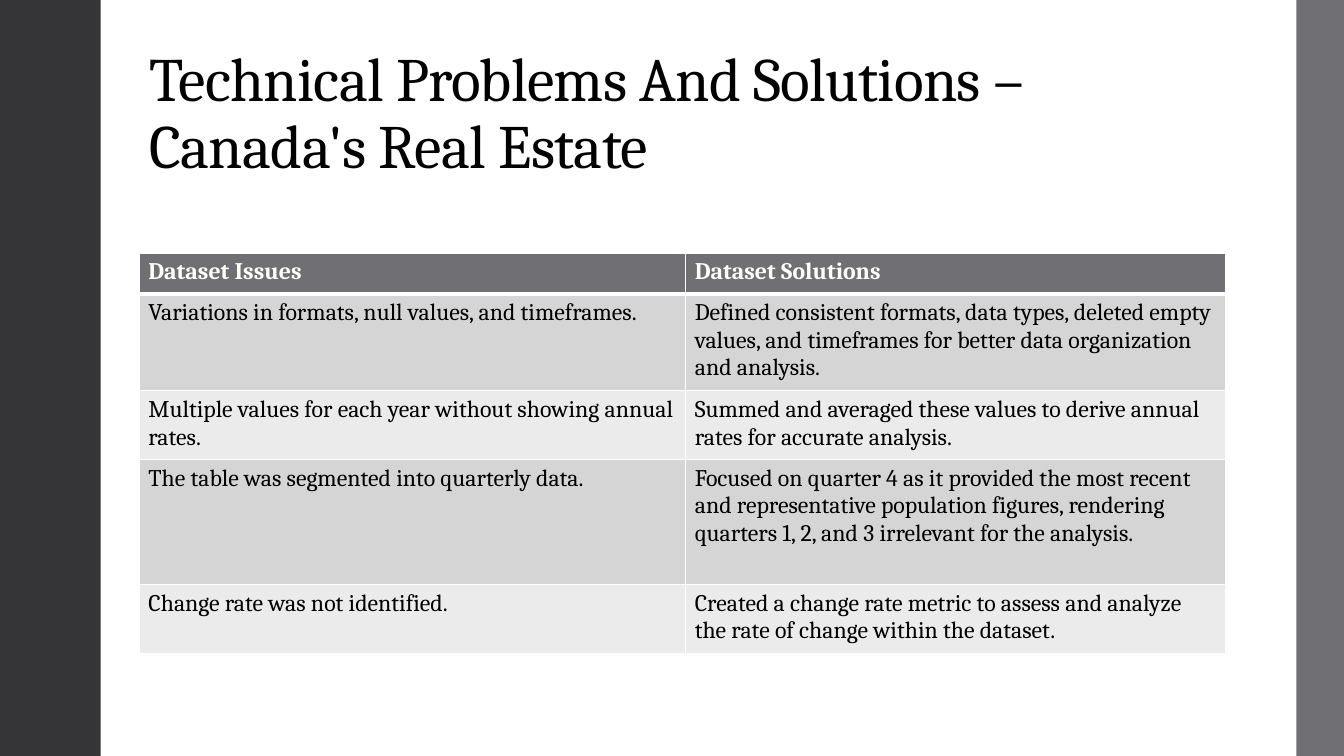
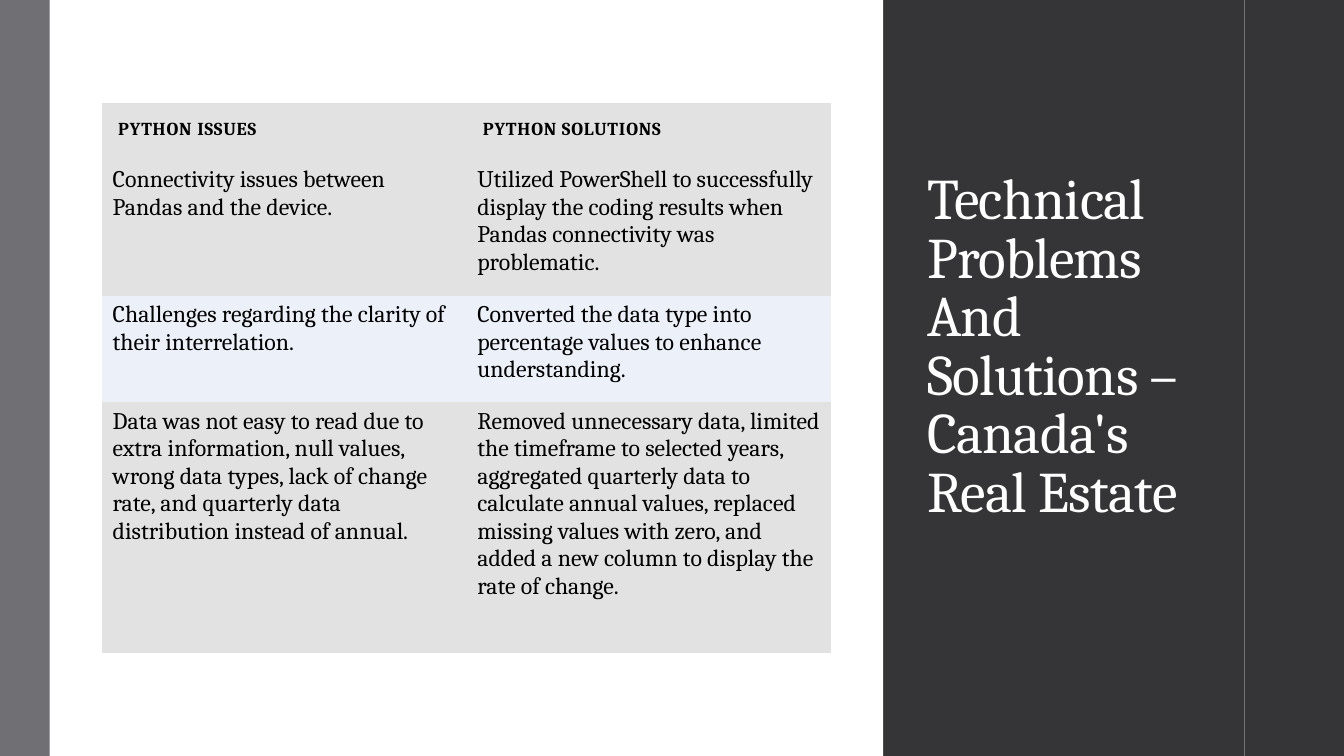
import pptx
import pptx.util
import pptx.dml.color
import pptx.enum.shapes
import pptx.enum.text
import pptx.oxml
import pptx.oxml.ns

Cm, Pt = pptx.util.Cm, pptx.util.Pt

# Shared style
COLORS = {
    "dark": "353537", "grey": "6F6F74", "white": "FFFFFF", "black": "000000",
    "band": "D5D5D6", "light": "EBEBEB", "panel": "E2E2E3", "blue": "ECF1F9",
}
FONT = "Cambria"
WIDTH, HEIGHT = 33.87, 19.05
PLAIN_TABLE_STYLE = "{2D5ABB26-0587-4C30-8999-92F81FD0307C}"
TITLE = "Technical Problems And Solutions – Canada's Real Estate"

# Content: bands are left, right, colour; boxes are left, top, width, height;
# margins are left, top, right, bottom; all lengths in cm
SLIDES = [
    {
        "bands": [(0, 2.54, "dark"), (32.67, WIDTH, "grey")],
        "title": {"box": (3.51, 1.02, 27.38, 3.68), "size": 44, "color": "black", "line": 0.9},
        "table": {
            "at": (3.51, 6.38),
            "columns": [13.77, 13.61],
            "heights": [1.03, 2.44, 1.73, 3.15, 1.74],
            "header": {"size": 17, "color": "white", "fill": "grey", "spacing": 0,
                       "margins": (0.23, 0.13, 0.23, 0.13)},
            "body_margins": (0.23, 0.13, 0.23, 0.13),
            "body_fills": ["band", "light"],
            "bordered": True,
            "rows": [
                ("Dataset Issues", "Dataset Solutions"),
                ("Variations in formats, null values, and timeframes.",
                 "Defined consistent formats, data types, deleted empty values, and "
                 "timeframes for better data organization and analysis."),
                ("Multiple values for each year without showing annual rates.",
                 "Summed and averaged these values to derive annual rates for accurate analysis."),
                ("The table was segmented into quarterly data.",
                 "Focused on quarter 4 as it provided the most recent and representative "
                 "population figures, rendering quarters 1, 2, and 3 irrelevant for the analysis."),
                ("Change rate was not identified.",
                 "Created a change rate metric to assess and analyze the rate of change "
                 "within the dataset."),
            ],
        },
    },
    {
        "bands": [(0, 1.27, "grey"), (1.27, 31.37, "dark"),
                  (1.25, 22.26, "white"), (31.37, WIDTH, "dark")],
        "title": {"box": (23.11, 2.1, 7.77, 11.23), "size": 41, "color": "white", "line": 0.85},
        "table": {
            "at": (2.57, 2.59),
            "columns": [9.19, 9.19],
            "heights": [1.47, 3.4, 2.68, 6.31],
            "header": {"size": 13, "color": "black", "fill": "panel", "spacing": 0.6,
                       "margins": (0.41, 0.41, 0.41, 0.41)},
            "body_margins": (0.27, 0.13, 0.27, 0.27),
            "body_fills": ["panel", "blue"],
            "bordered": False,
            "rows": [
                ("PYTHON ISSUES", "PYTHON SOLUTIONS"),
                ("Connectivity issues between Pandas and the device.",
                 "Utilized PowerShell to successfully display the coding results when "
                 "Pandas connectivity was problematic."),
                ("Challenges regarding the clarity of their interrelation.",
                 "Converted the data type into percentage values to enhance understanding."),
                ("Data was not easy to read due to extra information, null values, wrong data "
                 "types, lack of change rate, and quarterly data distribution instead of annual.",
                 "Removed unnecessary data, limited the timeframe to selected years, aggregated "
                 "quarterly data to calculate annual values, replaced missing values with zero, "
                 "and added a new column to display the rate of change."),
            ],
        },
    },
]


def rgb(name):
    return pptx.dml.color.RGBColor.from_string(COLORS[name])


def format_text(frame, size, color, bold=False, spacing=0):
    for para in frame.paragraphs:
        for span in para.runs:
            span.font.name = FONT
            span.font.size = Pt(size)
            span.font.bold = bold
            span.font.color.rgb = rgb(color)
            span.font._element.set("spc", str(round(spacing * 100)))


def add_title(page, style):
    title = page.shapes.title
    title.left, title.top, title.width, title.height = map(Cm, style["box"])
    frame = title.text_frame
    frame.text = TITLE
    frame.word_wrap = True
    frame.auto_size = pptx.enum.text.MSO_AUTO_SIZE.NONE
    frame.vertical_anchor = pptx.enum.text.MSO_ANCHOR.BOTTOM
    para = frame.paragraphs[0]
    para.alignment = pptx.enum.text.PP_ALIGN.LEFT
    para.line_spacing = style["line"]
    para.space_before = Pt(0)
    format_text(frame, style["size"], style["color"], spacing=-0.5)


def add_band(page, left, right, color):
    band = page.shapes.add_shape(
        pptx.enum.shapes.MSO_SHAPE.RECTANGLE, Cm(left), Cm(0), Cm(right - left), Cm(HEIGHT))
    band.shadow.inherit = False
    band.fill.solid()
    band.fill.fore_color.rgb = rgb(color)
    band.line.fill.background()
    # Bands lie behind the title
    page.shapes.title.element.addprevious(band.element)


def add_borders(cell, top, bottom):
    properties = cell._tc.get_or_add_tcPr()
    for index, (side, points) in enumerate([("L", 1), ("R", 1), ("T", top), ("B", bottom)]):
        properties.insert(index, pptx.oxml.parse_xml(
            f'<a:ln{side} {pptx.oxml.ns.nsdecls("a")} w="{Pt(points)}"><a:solidFill>'
            f'<a:srgbClr val="{COLORS["white"]}"/></a:solidFill></a:ln{side}>'))


def add_table(page, data):
    rows, columns, heights = data["rows"], data["columns"], data["heights"]
    left, top = data["at"]
    table = page.shapes.add_table(
        len(rows), len(columns), Cm(left), Cm(top), Cm(sum(columns)), Cm(sum(heights))).table
    table._tbl.tblPr.find(pptx.oxml.ns.qn("a:tableStyleId")).text = PLAIN_TABLE_STYLE
    for column, width in zip(table.columns, columns):
        column.width = Cm(width)
    for row, height in zip(table.rows, heights):
        row.height = Cm(height)

    header = data["header"]
    for row_index, texts in enumerate(rows):
        is_header = row_index == 0
        margins = header["margins"] if is_header else data["body_margins"]
        fill = header["fill"] if is_header else data["body_fills"][(row_index - 1) % 2]
        for column_index, text in enumerate(texts):
            cell = table.cell(row_index, column_index)
            cell.text_frame.text = text
            (cell.margin_left, cell.margin_top,
             cell.margin_right, cell.margin_bottom) = map(Cm, margins)
            cell.fill.solid()
            cell.fill.fore_color.rgb = rgb(fill)
            if is_header:
                format_text(cell.text_frame, header["size"], header["color"],
                            bold=True, spacing=header["spacing"])
            else:
                format_text(cell.text_frame, 17, "black")
            if data["bordered"]:
                add_borders(cell, top=3 if row_index == 1 else 1, bottom=3 if is_header else 1)


def main():
    deck = pptx.Presentation()
    deck.slide_width, deck.slide_height = Cm(WIDTH), Cm(HEIGHT)
    title_only = deck.slide_layouts[5]
    for content in SLIDES:
        page = deck.slides.add_slide(title_only)
        add_title(page, content["title"])
        for band in content["bands"]:
            add_band(page, *band)
        add_table(page, content["table"])
    deck.save("out.pptx")


if __name__ == "__main__":
    main()
